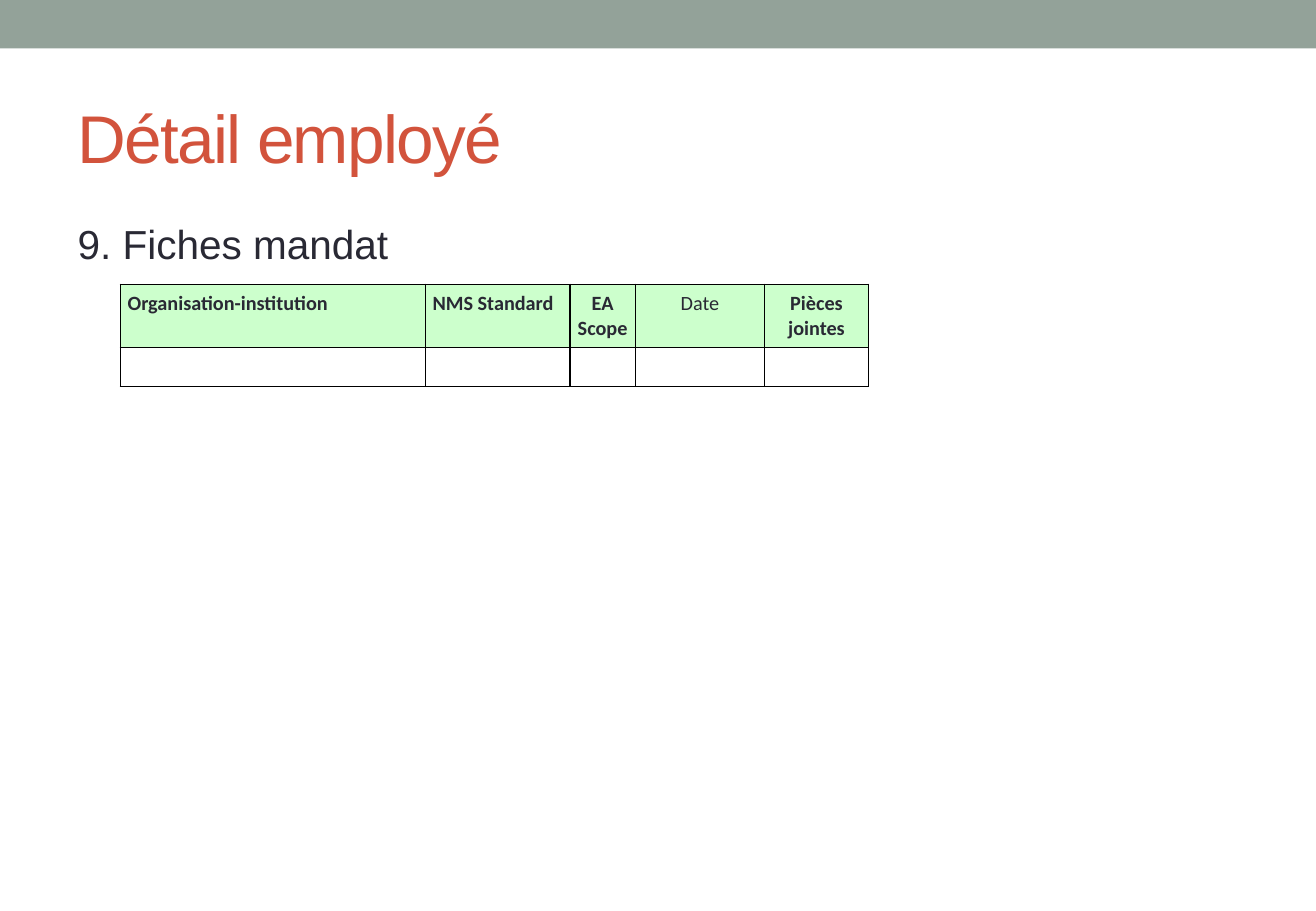
"""Build the employee detail slide with its mandate table."""
from lxml import etree
from pptx import Presentation
from pptx.dml.color import RGBColor
from pptx.enum.shapes import MSO_SHAPE
from pptx.enum.text import MSO_ANCHOR, PP_ALIGN
from pptx.oxml.ns import qn
from pptx.util import Pt

RECTANGLE = MSO_SHAPE.RECTANGLE
TOP, MIDDLE = MSO_ANCHOR.TOP, MSO_ANCHOR.MIDDLE
LEFT, CENTER = PP_ALIGN.LEFT, PP_ALIGN.CENTER

SAGE = RGBColor(0x93, 0xA2, 0x99)
RUST = RGBColor(0xD2, 0x53, 0x3C)
INK = RGBColor(0x29, 0x29, 0x34)
MINT = RGBColor(0xCC, 0xFF, 0xCC)
WHITE = RGBColor(0xFF, 0xFF, 0xFF)
BLACK = RGBColor(0x00, 0x00, 0x00)

PAGE_SIZE = (1083, 750)
BAR = (0, 0, 1083, 40)
TITLE = {"text": "Détail employé", "at": (54, 58, 975, 108), "anchor": MIDDLE,
         "before": 0, "spacing": -100,
         "font": {"name": "Arial", "size": Pt(40), "color": RUST}}
BODY = {"text": "9. Fiches mandat", "at": (54, 175, 975, 533), "anchor": TOP,
        "before": 3, "spacing": 0,
        "font": {"name": "Arial", "size": Pt(24), "color": INK}}
COLUMNS = [
    ("Organisation-institution", 251, LEFT, True),
    ("NMS Standard", 119, LEFT, True),
    ("EA Scope", 54, CENTER, True),
    ("Date", 106, CENTER, False),
    ("Pièces jointes", 86, CENTER, True),
]
TABLE_LEFT, TABLE_TOP = 99, 234
ROW_HEIGHTS = (51, 31)
CELL_MARGIN = 6
CELL_FONT = {"name": "Calibri", "size": Pt(12), "color": INK}
BORDER_WIDTH = Pt(1)


def px(length):
    """Turn px, 100 to the inch, into EMU."""
    return length * 9144


def add_span(para, text, formats):
    """Add one formatted run to a paragraph."""
    span = para.add_run()
    span.text = text
    for name, value in formats.items():
        if name == "color":
            span.font.color.rgb = value
        else:
            setattr(span.font, name, value)
    return span


def add_bar(page):
    """Draw the band across the top."""
    bar = page.shapes.add_shape(RECTANGLE, *map(px, BAR))
    bar.shadow.inherit = False
    bar.fill.solid()
    bar.fill.fore_color.rgb = SAGE
    bar.line.fill.background()


def add_text(page, content):
    """Add a text box holding one line."""
    frame = page.shapes.add_textbox(*map(px, content["at"])).text_frame
    frame.word_wrap = True
    frame.vertical_anchor = content["anchor"]
    para = frame.paragraphs[0]
    para.space_before = Pt(content["before"])
    span = add_span(para, content["text"], content["font"])
    span.font._element.set("spc", str(content["spacing"]))


def add_borders(cell):
    """Outline all four sides of a cell."""
    properties = cell._tc.get_or_add_tcPr()
    for position, side in enumerate(("lnL", "lnR", "lnT", "lnB")):
        line = etree.Element(qn("a:" + side), w=str(BORDER_WIDTH))
        fill = etree.SubElement(line, qn("a:solidFill"))
        etree.SubElement(fill, qn("a:srgbClr"), val=str(BLACK))
        properties.insert(position, line)


def format_cell(cell, color):
    """Set the fill, margins and borders of a cell."""
    for side in ("left", "right", "top", "bottom"):
        setattr(cell, "margin_" + side, px(CELL_MARGIN))
    cell.fill.solid()
    cell.fill.fore_color.rgb = color
    add_borders(cell)


def add_mandates(page):
    """Add the table with a heading row and an empty row."""
    width = sum(column[1] for column in COLUMNS)
    box = (TABLE_LEFT, TABLE_TOP, width, sum(ROW_HEIGHTS))
    table = page.shapes.add_table(
        len(ROW_HEIGHTS), len(COLUMNS), *map(px, box)).table
    for row, height in zip(table.rows, ROW_HEIGHTS):
        row.height = px(height)
    for index, (heading, width, alignment, bold) in enumerate(COLUMNS):
        table.columns[index].width = px(width)
        head, blank = table.cell(0, index), table.cell(1, index)
        format_cell(head, MINT)
        format_cell(blank, WHITE)
        para = head.text_frame.paragraphs[0]
        para.alignment = alignment
        add_span(para, heading, {**CELL_FONT, "bold": bold})
        empty = blank.text_frame.paragraphs[0]._p
        size = str(int(CELL_FONT["size"].pt * 100))
        ending = etree.SubElement(empty, qn("a:endParaRPr"), sz=size)
        etree.SubElement(ending, qn("a:latin"), typeface=CELL_FONT["name"])


def main():
    """Assemble and save the deck."""
    deck = Presentation()
    deck.slide_width, deck.slide_height = map(px, PAGE_SIZE)
    page = deck.slides.add_slide(deck.slide_layouts[6])
    add_bar(page)
    for content in (TITLE, BODY):
        add_text(page, content)
    add_mandates(page)
    deck.save("out.pptx")


if __name__ == "__main__":
    main()
